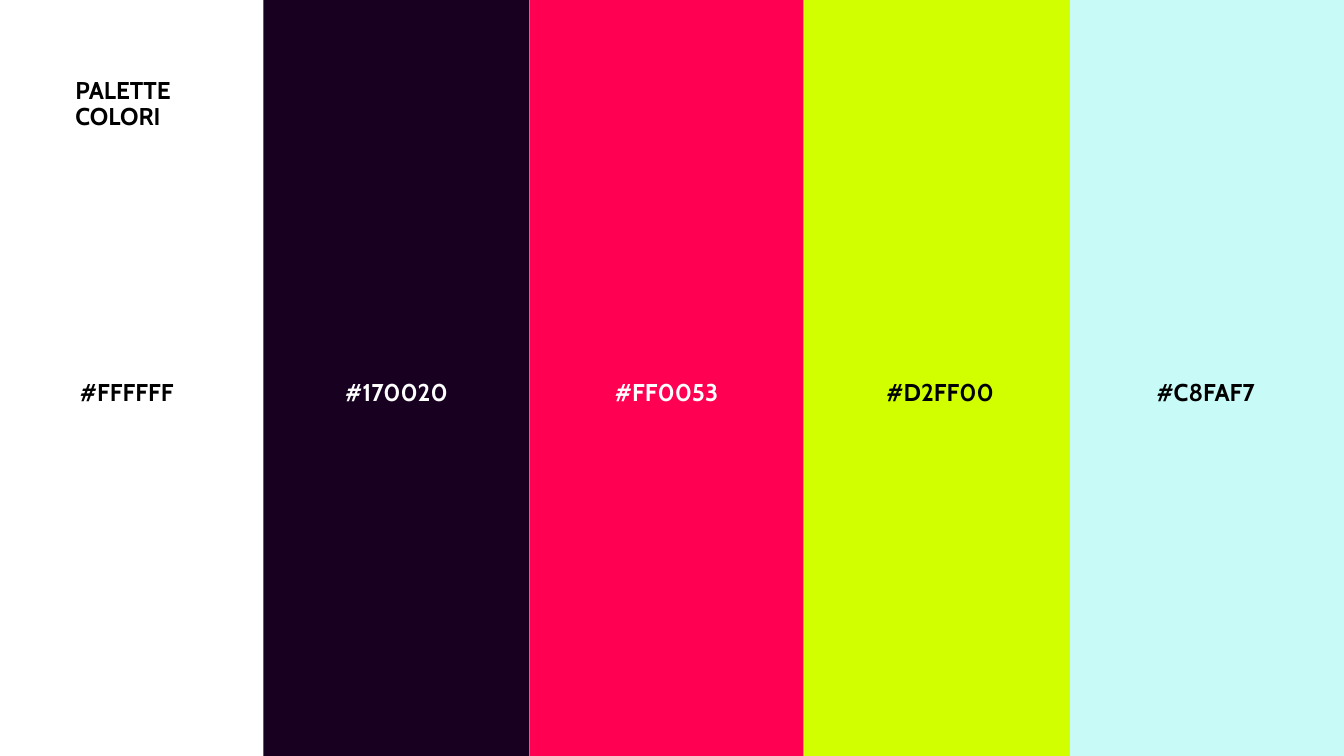
from dataclasses import dataclass
from pptx import Presentation
from pptx.dml.color import RGBColor
from pptx.enum.shapes import MSO_SHAPE
from pptx.enum.text import MSO_ANCHOR, MSO_AUTO_SIZE, PP_ALIGN
from pptx.util import Inches, Pt


@dataclass(frozen=True)
class Theme:
    font: str = "Cabin"
    size: float = 26
    lead: float = 27.6
    dark: str = "000000"
    light: str = "FFFFFF"


class Deck:
    cols, rows = 20, 11.25

    def __init__(self, theme):
        self.theme = theme
        self.show = Presentation()
        self.show.slide_width = Inches(self.cols)
        self.show.slide_height = Inches(self.rows)
        self.slide = self.show.slides.add_slide(self.show.slide_layouts[5])

    def place(self, col, row, wide, high):
        across = self.show.slide_width / self.cols
        down = self.show.slide_height / self.rows
        return [round(n) for n in (col * across, row * down, wide * across, high * down)]

    def fill_text(self, shape, lines, color, align):
        frame = shape.text_frame
        frame.word_wrap = True
        frame.auto_size = MSO_AUTO_SIZE.NONE
        frame.vertical_anchor = MSO_ANCHOR.TOP
        frame.margin_left = frame.margin_right = 0
        frame.margin_top = frame.margin_bottom = 0
        for i, line in enumerate(lines):
            para = frame.add_paragraph() if i else frame.paragraphs[0]
            para.alignment = align
            para.line_spacing = Pt(self.theme.lead)
            para.space_before = Pt(0)
            run = para.add_run()
            run.text = line
            run.font.name = self.theme.font
            run.font.size = Pt(self.theme.size)
            run.font.bold = True
            run.font.color.rgb = RGBColor.from_string(color)

    def band(self, left, right, color):
        box = self.place(left, 0, right - left, self.rows)
        shape = self.slide.shapes.add_shape(MSO_SHAPE.RECTANGLE, *box)
        shape.shadow.inherit = False
        shape.fill.solid()
        shape.fill.fore_color.rgb = RGBColor.from_string(color)
        shape.line.fill.background()

    def label(self, text, col, wide, color, align):
        box = self.slide.shapes.add_textbox(*self.place(col, 5.67, wide, 0.38))
        self.fill_text(box, [text], color, align)

    def title(self, lines):
        shape = self.slide.shapes.title
        shape.left, shape.top, shape.width, shape.height = self.place(1.12, 1.17, 1.49, 0.76)
        self.fill_text(shape, lines, self.theme.dark, PP_ALIGN.LEFT)
        shape.element.getparent().append(shape.element)


def main():
    theme = Theme()
    deck = Deck(theme)
    edges = [0, 3.92, 7.88, 11.96, 15.92, 20]
    left = theme.dark, PP_ALIGN.LEFT
    mid = theme.light, PP_ALIGN.CENTER
    swatches = [
        ("FFFFFF", 1.19, 1.5, left),
        ("170020", 5.1, 1.6, mid),
        ("FF0053", 9.09, 1.66, mid),
        ("D2FF00", 13.19, 1.68, left),
        ("C8FAF7", 17.21, 1.62, left),
    ]
    for start, end, (color, col, wide, look) in zip(edges, edges[1:], swatches):
        deck.band(start, end, color)
        deck.label("#" + color, col, wide, *look)
    deck.title(["PALETTE", "COLORI"])
    deck.show.save("out.pptx")


if __name__ == "__main__":
    main()
